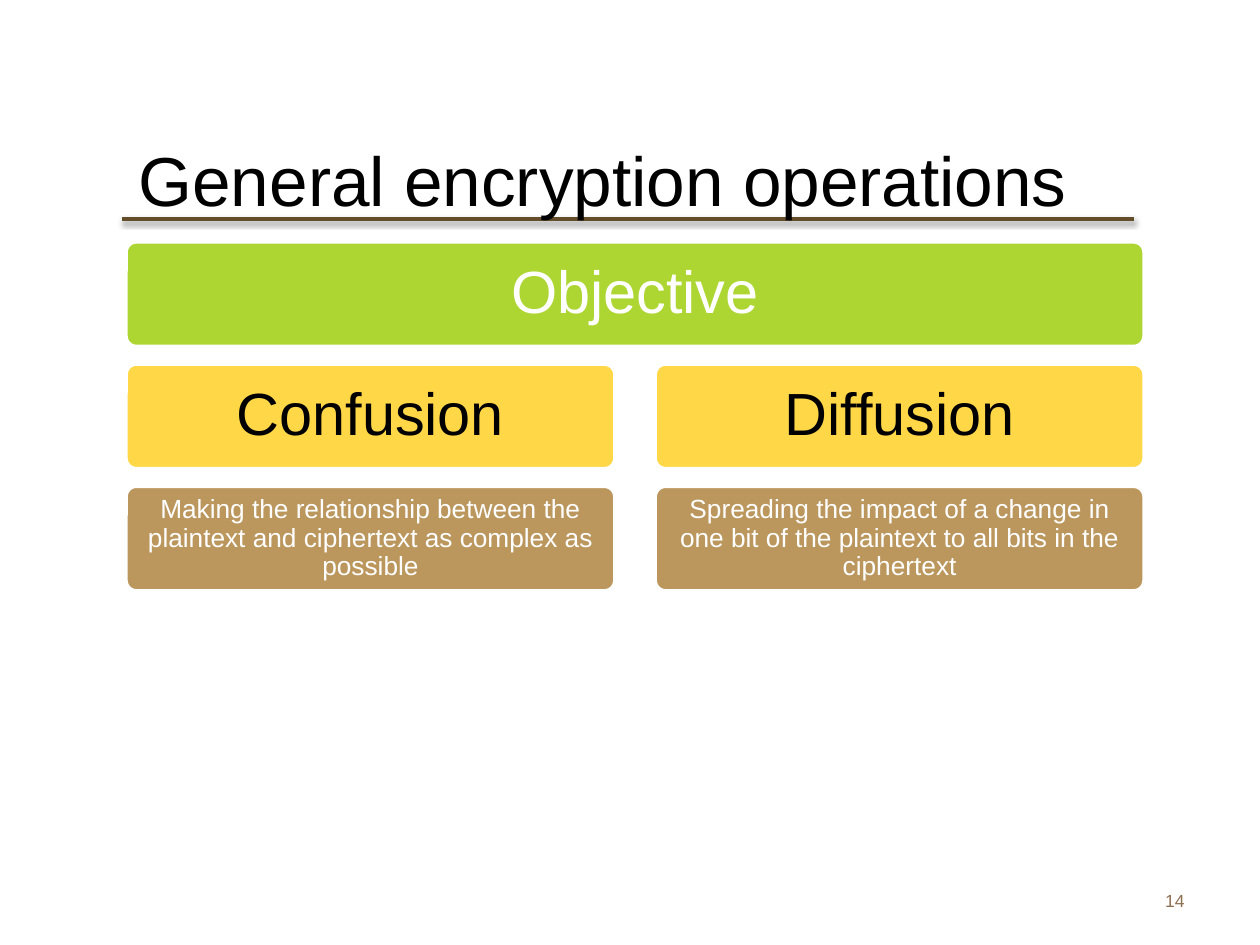
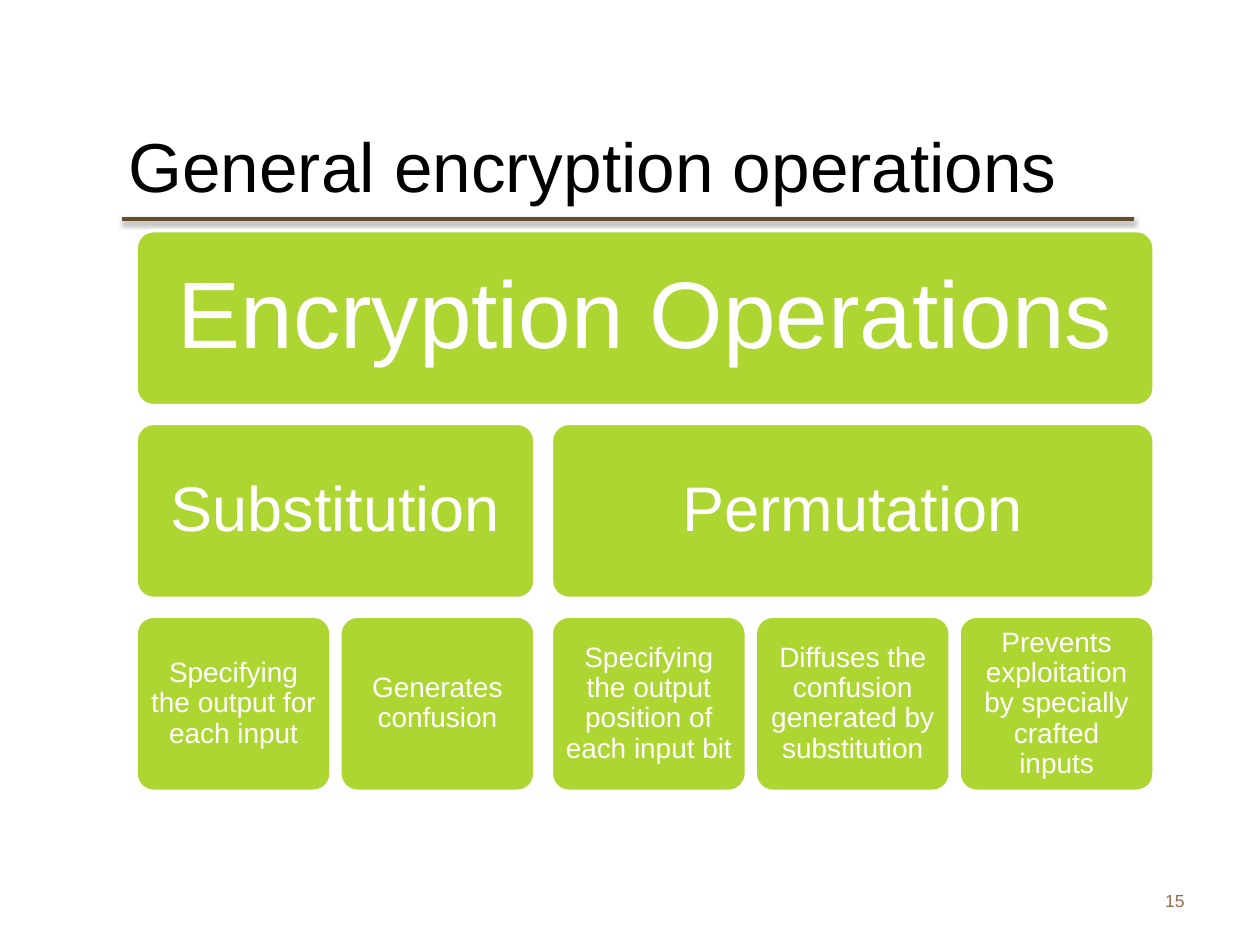
from lxml import etree
from pptx import Presentation
from pptx.dml.color import RGBColor
from pptx.enum.shapes import MSO_CONNECTOR, MSO_SHAPE
from pptx.enum.text import MSO_ANCHOR, MSO_AUTO_SIZE, PP_ALIGN
from pptx.oxml import parse_xml
from pptx.oxml.ns import nsdecls, qn
from pptx.util import Inches, Pt

FONT = "Arial"
WHITE, BLACK = "FFFFFF", "000000"
GREEN, YELLOW, TAN = "ADD632", "FFD747", "BB975E"
RULE_COLOR, NUMBER_COLOR = "634D2A", "8F6F52"
TITLE_SIZE = 39.6
TREE_WIDTH, ROW_GAP = 8.08, 0.14

SLIDES = [
    {
        "number": "14",
        "title": "General encryption operations",
        "title_at": (1, 1.08, 8, 0.67),
        "tree_at": (1, 1.92),
        "row_height": 0.83,
        "branch_gap": 0.32,
        "leaf_gap": 0,
        "levels": [(GREEN, WHITE, 34, 0.14), (YELLOW, BLACK, 34, 0.14), (TAN, WHITE, 15, 0.06)],
        "root": "Objective",
        "branches": [
            ("Confusion", [
                "Making the relationship between the plaintext and ciphertext as complex as possible",
            ]),
            ("Diffusion", [
                "Spreading the impact of a change in one bit of the plaintext to all bits in the ciphertext",
            ]),
        ],
    },
    {
        "number": "15",
        "title": "General encryption operations",
        "title_at": (0.92, 0.92, 8.75, 0.78),
        "tree_at": (1.08, 1.83),
        "row_height": 1.39,
        "branch_gap": 0.13,
        "leaf_gap": 0.07,
        "levels": [(GREEN, WHITE, 54, 0.23), (GREEN, WHITE, 36, 0.15), (GREEN, WHITE, 16, 0.07)],
        "root": "Encryption Operations",
        "branches": [
            ("Substitution", [
                "Specifying the output for each input",
                "Generates confusion",
            ]),
            ("Permutation", [
                "Specifying the output position of each input bit",
                "Diffuses the confusion generated by substitution",
                "Prevents exploitation by specially crafted inputs",
            ]),
        ],
    },
]


def rgb(value):
    return RGBColor.from_string(value)


def write(frame, text, size, color, align):
    frame.word_wrap = True
    frame.auto_size = MSO_AUTO_SIZE.NONE
    frame.vertical_anchor = MSO_ANCHOR.MIDDLE
    para = frame.paragraphs[0]
    para.alignment = align
    span = para.add_run()
    span.text = text
    span.font.name = FONT
    span.font.size = Pt(size)
    span.font.color.rgb = rgb(color)
    return para


def add_rule(page):
    ends = [Inches(value) for value in (0.97, 1.74, 9, 1.74)]
    rule = page.shapes.add_connector(MSO_CONNECTOR.STRAIGHT, *ends)
    rule.line.color.rgb = rgb(RULE_COLOR)
    rule.line.width = Pt(2)
    effects = parse_xml(f"<a:effectLst {nsdecls('a')}/>")
    shadow = etree.SubElement(
        effects, qn("a:outerShdw"), blurRad=str(Pt(3.1)), dist=str(Pt(1.6)),
        dir="5400000", rotWithShape="0")
    color = etree.SubElement(shadow, qn("a:srgbClr"), val=BLACK)
    etree.SubElement(color, qn("a:alpha"), val="38000")
    rule._element.spPr.append(effects)
    page.shapes._spTree.insert(2, rule._element)


def add_frame(page, content):
    add_rule(page)
    title = page.shapes.title
    title.left, title.top, title.width, title.height = map(Inches, content["title_at"])
    write(title.text_frame, content["title"], TITLE_SIZE, BLACK, PP_ALIGN.LEFT)
    number = page.shapes.add_textbox(*map(Inches, (7.17, 6.95, 2.33, 0.4)))
    write(number.text_frame, content["number"], 10, NUMBER_COLOR, PP_ALIGN.RIGHT)


def add_tree(page, content):
    left, top = content["tree_at"]
    height = content["row_height"]
    branches = content["branches"]
    branch_gap, leaf_gap = content["branch_gap"], content["leaf_gap"]
    leaf_count = sum(len(leaves) for _, leaves in branches)
    gaps = (len(branches) - 1) * branch_gap + (leaf_count - len(branches)) * leaf_gap
    leaf_width = (TREE_WIDTH - gaps) / leaf_count

    def add_node(text, level, x, width):
        fill, color, size, inset = content["levels"][level]
        y = top + level * (height + ROW_GAP)
        box = page.shapes.add_shape(
            MSO_SHAPE.ROUNDED_RECTANGLE, *map(Inches, (x, y, width, height)))
        box.adjustments[0] = 0.1
        box.shadow.inherit = False
        box.fill.solid()
        box.fill.fore_color.rgb = rgb(fill)
        box.line.color.rgb = rgb(WHITE)
        box.line.width = Pt(2)
        frame = box.text_frame
        frame.margin_left = frame.margin_right = Inches(inset)
        frame.margin_top = frame.margin_bottom = Inches(inset)
        write(frame, text, size, color, PP_ALIGN.CENTER).line_spacing = 0.9

    add_node(content["root"], 0, left, TREE_WIDTH)
    x = left
    for name, leaves in branches:
        width = len(leaves) * (leaf_width + leaf_gap) - leaf_gap
        add_node(name, 1, x, width)
        for index, leaf in enumerate(leaves):
            add_node(leaf, 2, x + index * (leaf_width + leaf_gap), leaf_width)
        x += width + branch_gap


def main():
    deck = Presentation()
    deck.slide_width, deck.slide_height = Inches(10), Inches(7.5)
    title_only = deck.slide_layouts[5]
    for content in SLIDES:
        page = deck.slides.add_slide(title_only)
        add_frame(page, content)
        add_tree(page, content)
    deck.save("out.pptx")


if __name__ == "__main__":
    main()
